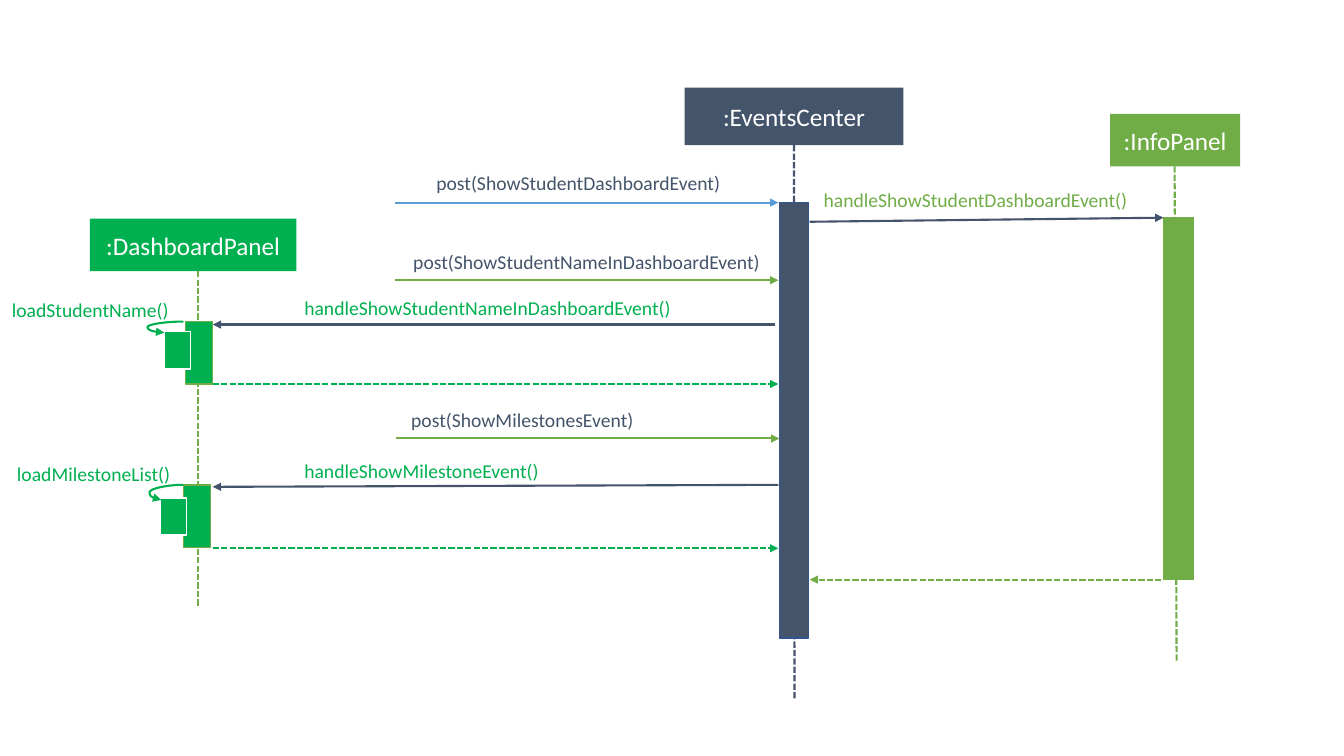
from lxml import etree
from pptx import Presentation
from pptx.dml.color import RGBColor
from pptx.enum.dml import MSO_LINE
from pptx.enum.shapes import MSO_CONNECTOR, MSO_SHAPE
from pptx.enum.text import MSO_ANCHOR, MSO_AUTO_SIZE, PP_ALIGN
from pptx.oxml.ns import qn
from pptx.util import Inches, Pt

COLORS = {
    "slate": "44546A",
    "navy": "325491",
    "blue": "5B9BD5",
    "olive": "70AD47",
    "green": "00B050",
    "white": "FFFFFF",
}


class SequenceDiagram:
    def __init__(self, slide, font_name="Calibri"):
        self.slide = slide
        self.font_name = font_name

    def color(self, name):
        return RGBColor.from_string(COLORS[name])

    def set_text(self, shape, text, size, color, alignment=PP_ALIGN.LEFT):
        shape.text_frame.word_wrap = True
        paragraph = shape.text_frame.paragraphs[0]
        paragraph.text = text
        paragraph.alignment = alignment
        font = paragraph.runs[0].font
        font.name = self.font_name
        font.size = Pt(size)
        font.color.rgb = self.color(color)

    def bar(self, left, top, width, height, fill, outline=None):
        shape = self.slide.shapes.add_shape(
            MSO_SHAPE.RECTANGLE, Inches(left), Inches(top), Inches(width), Inches(height))
        shape.shadow.inherit = False
        shape.fill.solid()
        shape.fill.fore_color.rgb = self.color(fill)
        if outline:
            shape.line.color.rgb = self.color(outline)
            shape.line.width = Pt(1)
        else:
            shape.line.fill.background()
        return shape

    def participant(self, text, left, top, width, height, fill):
        shape = self.bar(left, top, width, height, fill)
        shape.text_frame.vertical_anchor = MSO_ANCHOR.MIDDLE
        self.set_text(shape, text, 18, "white", PP_ALIGN.CENTER)
        return shape

    def label(self, text, left, top, width, color):
        box = self.slide.shapes.add_textbox(
            Inches(left), Inches(top), Inches(width), Inches(0.34))
        self.set_text(box, text, 14, color)
        box.text_frame.auto_size = MSO_AUTO_SIZE.SHAPE_TO_FIT_TEXT

    def line(self, start, end, color, dashed=False, arrow=True, kind=MSO_CONNECTOR.STRAIGHT):
        points = [Inches(value) for value in (*start, *end)]
        connector = self.slide.shapes.add_connector(kind, *points)
        connector.line.color.rgb = self.color(color)
        connector.line.width = Pt(1.5)
        if dashed:
            connector.line.dash_style = MSO_LINE.SQUARE_DOT
        properties = connector._element.spPr
        if arrow:
            tail = etree.SubElement(properties.find(qn("a:ln")), qn("a:tailEnd"))
            tail.set("type", "triangle")
        etree.SubElement(properties, qn("a:effectLst"))
        return connector

    def self_call(self, start, end, bend):
        """Draw a curved arrow whose bend is a multiple of its own width."""
        connector = self.line(start, end, "green", kind=MSO_CONNECTOR.CURVE)
        geometry = connector._element.spPr.find(qn("a:prstGeom"))
        guides = geometry.find(qn("a:avLst"))
        if guides is None:
            guides = etree.SubElement(geometry, qn("a:avLst"))
        guide = etree.SubElement(guides, qn("a:gd"))
        guide.set("name", "adj1")
        guide.set("fmla", f"val {round(bend * 100000)}")


# text, box, color, lifeline start and end
PARTICIPANTS = [
    (":EventsCenter", (6.79, 0.87, 2.17, 0.57), "slate", (7.88, 1.44), (7.88, 6.94)),
    (":InfoPanel", (11.01, 1.13, 1.29, 0.52), "olive", (11.65, 1.65), (11.67, 6.56)),
    (":DashboardPanel", (0.89, 2.17, 2.05, 0.52), "green", (1.96, 2.69), (1.96, 6.02)),
]
# left, top, width, height, fill, outline
ACTIVATIONS = [
    (7.73, 2.01, 0.29, 4.32, "slate", "navy"),
    (11.54, 2.16, 0.3, 3.59, "olive", "olive"),
    (1.84, 3.19, 0.27, 0.62, "green", "olive"),
    (1.82, 4.81, 0.27, 0.62, "green", "olive"),
    (1.63, 3.29, 0.26, 0.37, "green", "white"),
    (1.59, 4.94, 0.26, 0.37, "green", "white"),
]
# start, end, color
CALLS = [
    ((3.92, 2.01), (7.72, 2.01), "blue"),
    ((8.03, 2.2), (11.54, 2.16), "slate"),
    ((3.92, 2.78), (7.72, 2.78), "olive"),
    ((7.69, 3.22), (2.11, 3.22), "slate"),
    ((3.93, 4.35), (7.73, 4.35), "olive"),
    ((7.72, 4.81), (2.11, 4.83), "slate"),
]
RETURNS = [
    ((2.11, 3.81), (7.72, 3.81), "green"),
    ((2.11, 5.44), (7.72, 5.44), "green"),
    ((11.52, 5.75), (8.03, 5.75), "olive"),
]
# start, end, bend
SELF_CALLS = [
    ((1.82, 3.19), (1.63, 3.3), 1.88),
    ((1.82, 4.81), (1.6, 4.96), 1.53),
]
# text, left, top, width, color
LABELS = [
    ("post(ShowStudentDashboardEvent)", 4.23, 1.65, 3.03, "slate"),
    ("handleShowStudentDashboardEvent()", 8.07, 1.82, 3.29, "olive"),
    ("post(ShowStudentNameInDashboardEvent)", 4, 2.43, 3.78, "slate"),
    ("handleShowStudentNameInDashboardEvent()", 2.92, 2.89, 3.97, "green"),
    ("post(ShowMilestonesEvent)", 3.98, 4, 3.78, "slate"),
    ("handleShowMilestoneEvent()", 2.92, 4.5, 3.97, "green"),
    ("loadStudentName()", 0.02, 2.91, 1.9, "green"),
    ("loadMilestoneList()", 0.07, 4.53, 1.9, "green"),
]


def main():
    presentation = Presentation()
    presentation.slide_width = Inches(13.33)
    presentation.slide_height = Inches(7.5)
    blank_layout = presentation.slide_layouts[6]
    diagram = SequenceDiagram(presentation.slides.add_slide(blank_layout))

    for text, box, color, start, end in PARTICIPANTS:
        header = diagram.participant(text, *box, color)
        lifeline_color = "slate" if color == "slate" else "olive"
        lifeline = diagram.line(start, end, lifeline_color, dashed=True, arrow=False)
        if text == ":EventsCenter":
            lifeline.begin_connect(header, 2)
    for activation in ACTIVATIONS:
        diagram.bar(*activation)
    for call in CALLS:
        diagram.line(*call)
    for reply in RETURNS:
        diagram.line(*reply, dashed=True)
    for self_call in SELF_CALLS:
        diagram.self_call(*self_call)
    for label in LABELS:
        diagram.label(*label)

    presentation.save("out.pptx")


if __name__ == "__main__":
    main()
